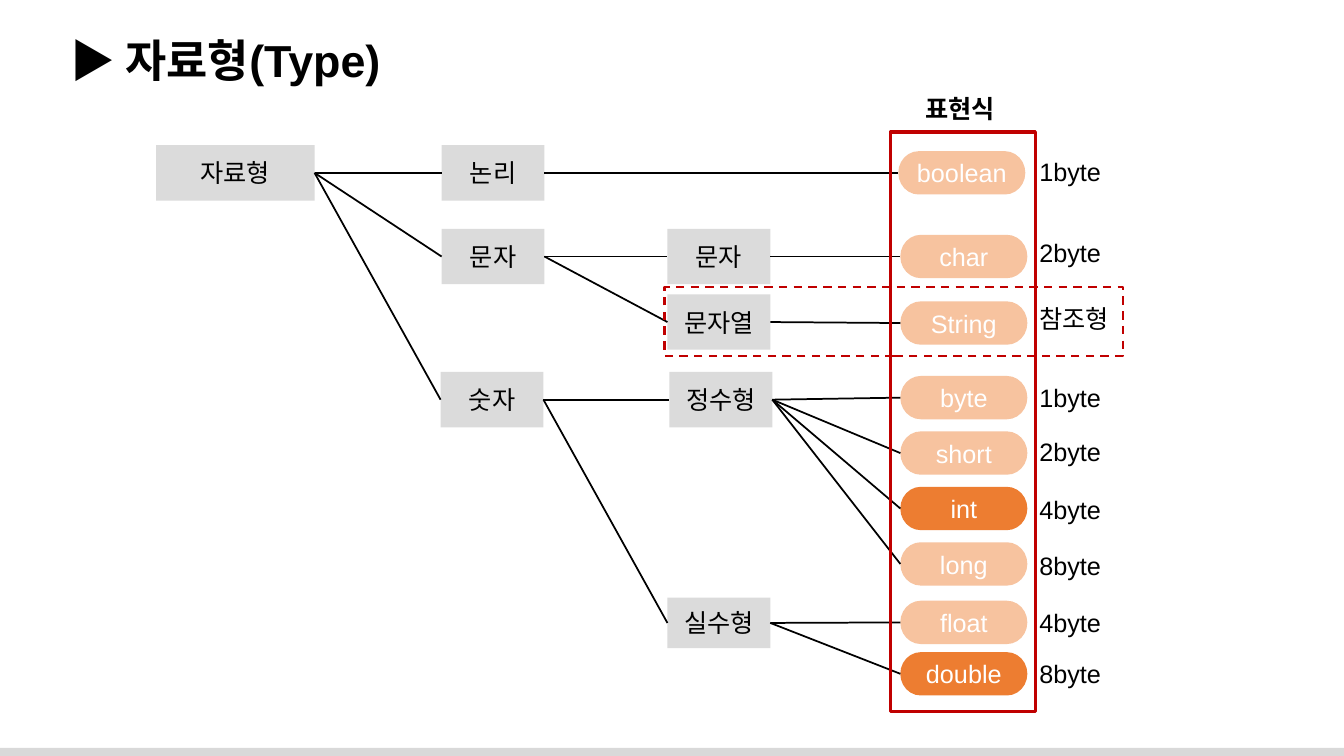
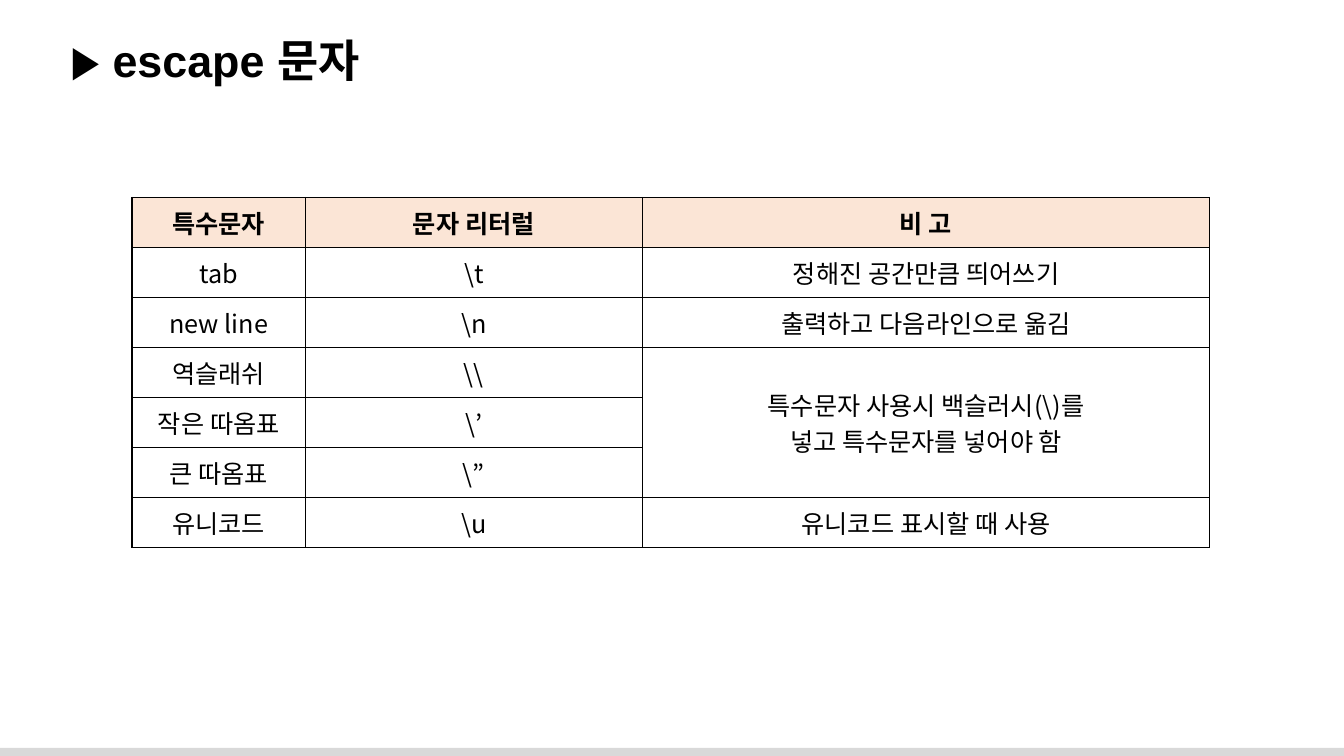
from dataclasses import dataclass

from lxml import etree
from pptx import Presentation
from pptx.dml.color import RGBColor
from pptx.enum.dml import MSO_LINE
from pptx.enum.shapes import MSO_CONNECTOR, MSO_SHAPE
from pptx.enum.text import MSO_ANCHOR, MSO_AUTO_SIZE, PP_ALIGN
from pptx.oxml.ns import qn
from pptx.util import Inches, Pt

RECT = MSO_SHAPE.RECTANGLE
PILL = MSO_SHAPE.FLOWCHART_TERMINATOR
STRAIGHT = MSO_CONNECTOR.STRAIGHT
DASH = MSO_LINE.DASH
CENTER, LEFT = PP_ALIGN.CENTER, PP_ALIGN.LEFT
MIDDLE = MSO_ANCHOR.MIDDLE
FIT_SHAPE = MSO_AUTO_SIZE.SHAPE_TO_FIT_TEXT
LEFT_SITE, RIGHT_SITE = 1, 3

LATIN, KOREAN = "Arial", "Noto Sans CJK KR"
BLACK, WHITE, RED = "000000", "FFFFFF", "C00000"
FOOTER, BOX = "D9D9D9", "DBDBDB"
PALE, ORANGE, HEADER = "F7C39F", "ED7D31", "FBE5D6"
BODY_PT, TITLE_PT = 18, 32


@dataclass
class Category:
    """A grey box of the type tree."""
    key: str
    text: str
    x: float
    y: float
    parent: str = ""
    w: float = 1.02
    h: float = 0.55


@dataclass
class Keyword:
    """A type keyword with the size note beside it."""
    text: str
    y: float
    parent: str
    note: str
    note_y: float
    fill: str = PALE
    x: float = 8.93
    note_w: float = 0.85


CATEGORIES = [
    Category("type", "자료형", 1.55, 1.44, w=1.57),
    Category("logic", "논리", 4.38, 1.44, "type"),
    Category("text", "문자", 4.38, 2.27, "type"),
    Category("number", "숫자", 4.37, 3.69, "type"),
    Category("character", "문자", 6.62, 2.27, "text"),
    Category("string", "문자열", 6.62, 2.92, "text"),
    Category("integer", "정수형", 6.64, 3.69, "number"),
    Category("real", "실수형", 6.62, 5.93, "number", h=0.5),
]
KEYWORDS = [
    Keyword("boolean", 1.5, "logic", "1byte", 1.5, x=8.91),
    Keyword("char", 2.33, "character", "2byte", 2.31),
    Keyword("String", 2.99, "string", "참조형", 2.96, note_w=0.96),
    Keyword("byte", 3.73, "integer", "1byte", 3.74),
    Keyword("short", 4.28, "integer", "2byte", 4.28),
    Keyword("int", 4.83, "integer", "4byte", 4.86, ORANGE),
    Keyword("long", 5.38, "integer", "8byte", 5.41),
    Keyword("float", 5.96, "real", "4byte", 5.98),
    Keyword("double", 6.47, "real", "8byte", 6.48, ORANGE),
]

COLUMN_WIDTHS = [1.72, 3.34, 5.63]
TABLE_HEIGHT = 3.47
ESCAPE_ROWS = [
    ["특수문자", "문자 리터럴", "비 고"],
    ["tab", r"\t", "정해진 공간만큼 띄어쓰기"],
    ["new line", r"\n", "출력하고 다음라인으로 옮김"],
    ["역슬래쉬", r"\\", "특수문자 사용시 백슬러시(\\)를\n넣고 특수문자를 넣어야 함"],
    ["작은 따옴표", r"\’", ""],
    ["큰 따옴표", r"\”", ""],
    ["유니코드", r"\u", "유니코드 표시할 때 사용"],
]
NOTE_FIRST_ROW, NOTE_LAST_ROW = 3, 5


def rgb(value: str) -> RGBColor:
    """Turn a hex string into a colour."""
    return RGBColor.from_string(value)


def write(tf, text: str, size: float = BODY_PT, color: str = BLACK,
          bold: bool = False, align=LEFT, font: str = LATIN) -> None:
    """Fill a text frame, one paragraph per line of text."""
    for i, line in enumerate(text.split("\n")):
        p = tf.paragraphs[0] if i == 0 else tf.add_paragraph()
        p.alignment = align
        r = p.add_run()
        r.text = line
        r.font.name, r.font.size, r.font.bold = font, Pt(size), bold
        r.font.color.rgb = rgb(color)
        east_asian = etree.SubElement(r.font._element, qn("a:ea"))
        east_asian.set("typeface", KOREAN)


def add_label(s, x: float, y: float, w: float, h: float, text: str,
              size: float = BODY_PT, bold: bool = False,
              wrap: bool = False) -> None:
    """Add a text box."""
    tf = s.shapes.add_textbox(Inches(x), Inches(y), Inches(w), Inches(h)).text_frame
    tf.word_wrap = wrap
    tf.auto_size = FIT_SHAPE
    write(tf, text, size, bold=bold)


def add_block(s, kind, x: float, y: float, w: float, h: float, fill: str,
              text: str = "", color: str = BLACK):
    """Add a filled shape without outline, with optional centred text."""
    sp = s.shapes.add_shape(kind, Inches(x), Inches(y), Inches(w), Inches(h))
    sp.shadow.inherit = False
    sp.fill.solid()
    sp.fill.fore_color.rgb = rgb(fill)
    sp.line.fill.background()
    if text:
        sp.text_frame.vertical_anchor = MIDDLE
        write(sp.text_frame, text, color=color, align=CENTER)
    return sp


def add_frame(s, x: float, y: float, w: float, h: float, width: float,
              dash=None) -> None:
    """Add an unfilled red frame."""
    sp = s.shapes.add_shape(RECT, Inches(x), Inches(y), Inches(w), Inches(h))
    sp.shadow.inherit = False
    sp.fill.background()
    sp.line.color.rgb = rgb(RED)
    sp.line.width = Pt(width)
    if dash is not None:
        sp.line.dash_style = dash


def link(s, parent, child) -> None:
    """Connect the right side of a parent to the left side of its child."""
    line = s.shapes.add_connector(STRAIGHT, 0, 0, 0, 0)
    line.begin_connect(parent, RIGHT_SITE)
    line.end_connect(child, LEFT_SITE)
    line.line.color.rgb = rgb(BLACK)
    line.line.width = Pt(1.25)
    etree.SubElement(line._element.spPr, qn("a:effectLst"))


def add_slide(prs, title: str):
    """Add a blank slide with the shared title and footer band."""
    s = prs.slides.add_slide(prs.slide_layouts[6])
    add_block(s, RECT, 0, 7.42, 13.33, 0.08, FOOTER)
    add_label(s, 0.6, 0.28, 12.6, 0.64, "▶ " + title, TITLE_PT, True, True)
    return s


def border_cell(cell) -> None:
    """Give a cell thin black borders, ahead of its fill in the XML."""
    props = cell._tc.get_or_add_tcPr()
    for i, side in enumerate(("a:lnL", "a:lnR", "a:lnT", "a:lnB")):
        ln = etree.Element(qn(side), w=str(Pt(1)))
        solid = etree.SubElement(ln, qn("a:solidFill"))
        etree.SubElement(solid, qn("a:srgbClr"), val=BLACK)
        props.insert(i, ln)


def build_types(prs) -> None:
    """Build the tree of data types."""
    s = add_slide(prs, "자료형(Type)")
    blocks = {}
    links = []
    for c in CATEGORIES:
        blocks[c.key] = add_block(s, RECT, c.x, c.y, c.w, c.h, BOX, c.text)
        if c.parent:
            links.append((blocks[c.parent], blocks[c.key]))
    for k in KEYWORDS:
        pill = add_block(s, PILL, k.x, k.y, 1.26, 0.43, k.fill, k.text, WHITE)
        links.append((blocks[k.parent], pill))
        add_label(s, 10.21, k.note_y, k.note_w, 0.4, k.note)
    for parent, child in links:
        link(s, parent, child)
    add_frame(s, 8.83, 1.31, 1.44, 5.75, 2.25)
    add_label(s, 9.08, 0.88, 0.96, 0.4, "표현식", bold=True)
    add_frame(s, 6.59, 2.85, 4.55, 0.68, 1.5, DASH)


def build_escapes(prs) -> None:
    """Build the table of escape characters."""
    s = add_slide(prs, "escape 문자")
    table = s.shapes.add_table(
        len(ESCAPE_ROWS), len(COLUMN_WIDTHS), Inches(1.31), Inches(1.96),
        Inches(sum(COLUMN_WIDTHS)), Inches(TABLE_HEIGHT)).table
    for column, width in zip(table.columns, COLUMN_WIDTHS):
        column.width = Inches(width)
    for i, row in enumerate(ESCAPE_ROWS):
        table.rows[i].height = Inches(TABLE_HEIGHT / len(ESCAPE_ROWS))
        for j, text in enumerate(row):
            cell = table.cell(i, j)
            cell.vertical_anchor = MIDDLE
            if i == 0:
                cell.fill.solid()
                cell.fill.fore_color.rgb = rgb(HEADER)
            else:
                cell.fill.background()
            border_cell(cell)
            if text:
                write(cell.text_frame, text, bold=i == 0, align=CENTER, font=KOREAN)
    table.cell(NOTE_FIRST_ROW, 2).merge(table.cell(NOTE_LAST_ROW, 2))


def main() -> None:
    """Build and save the presentation."""
    prs = Presentation()
    prs.slide_width, prs.slide_height = Inches(13.33), Inches(7.5)
    build_types(prs)
    build_escapes(prs)
    prs.save("out.pptx")


main()
